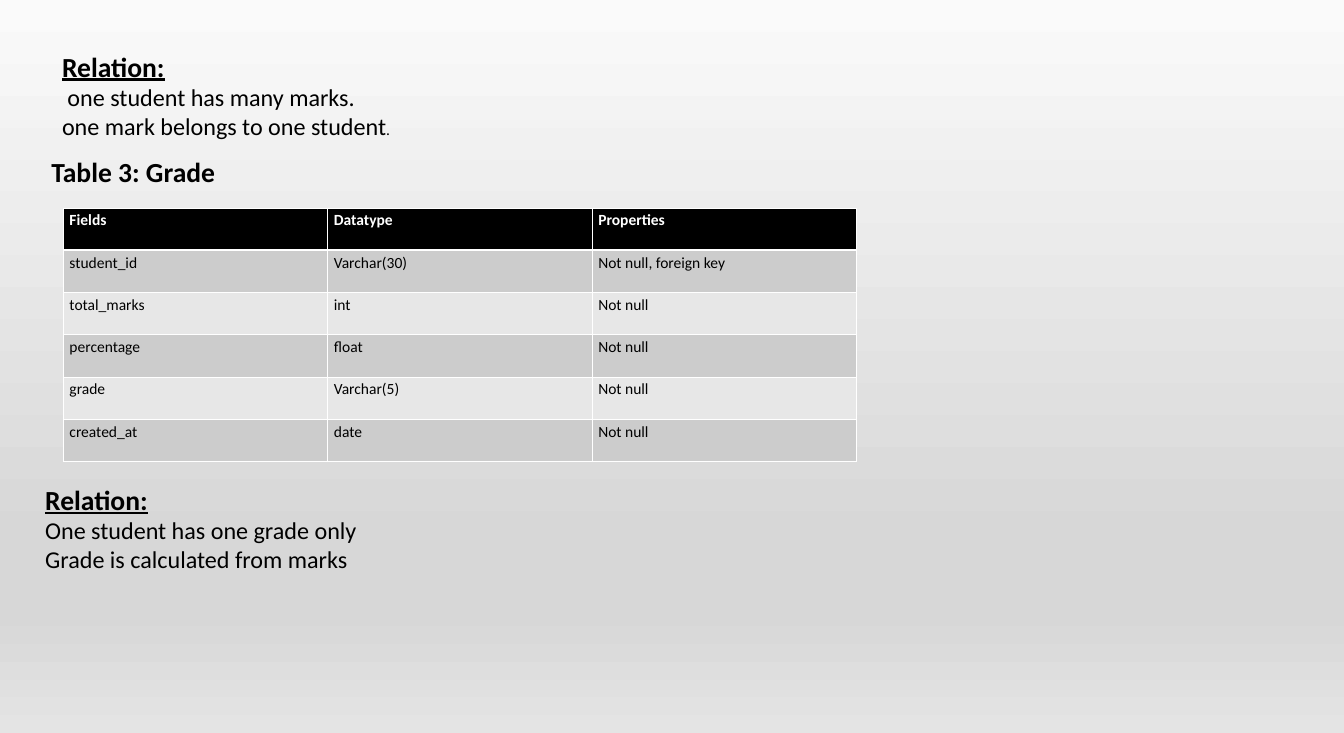
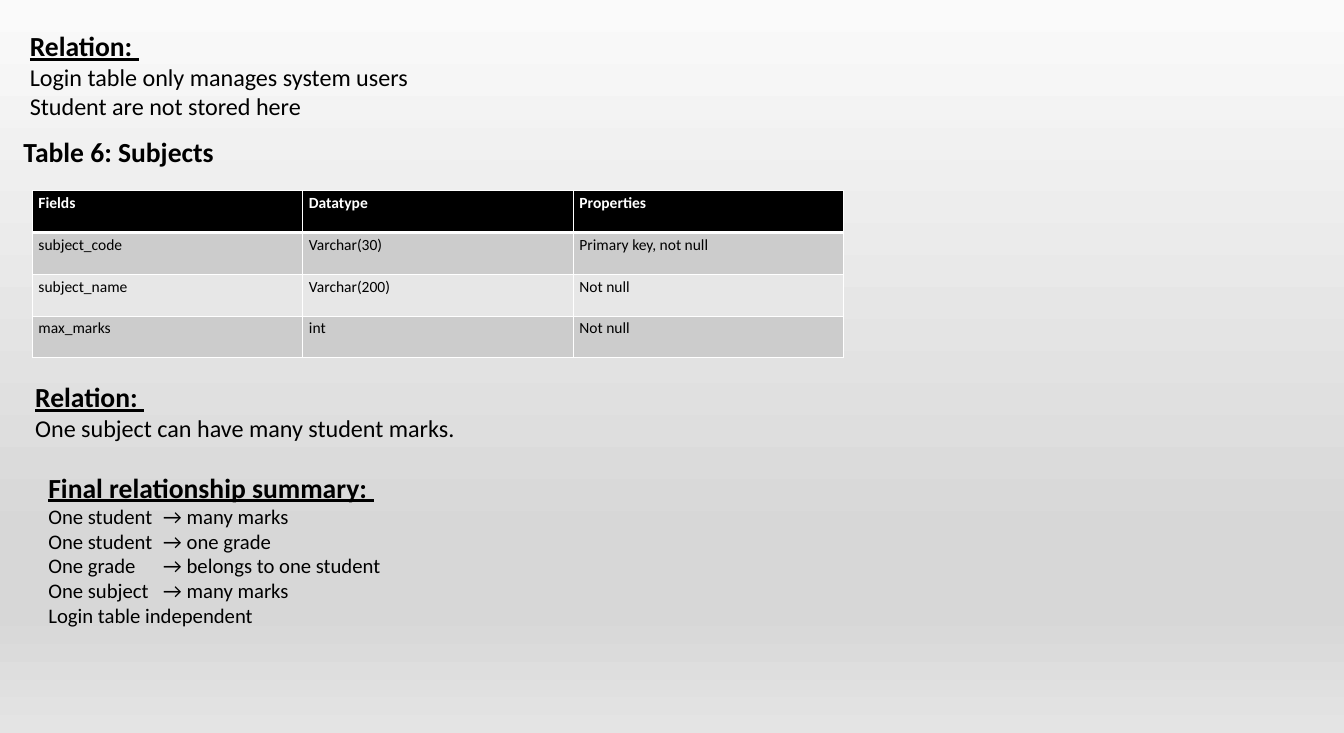
import dataclasses

import lxml.etree
import pptx
import pptx.dml.color
import pptx.enum.text
import pptx.oxml
import pptx.oxml.ns
import pptx.util

Cm = pptx.util.Cm
Pt = pptx.util.Pt
RGB = pptx.dml.color.RGBColor.from_string
qn = pptx.oxml.ns.qn


@dataclasses.dataclass(frozen=True)
class Theme:
    font: str = "Calibri"
    ink: str = "000000"
    paper: str = "FFFFFF"
    bands: tuple = ("E7E7E7", "CCCCCC")
    backdrop: tuple = ((0, "FAFAFA"), (74, "D7D7D7"), (83, "D7D7D7"), (100, "E4E4E4"))
    heading: int = 32
    body: int = 28
    summary: int = 24
    small: int = 18
    border: int = 1
    header_border: int = 3


theme = Theme()


def style(r, size, color=theme.ink, bold=False, underline=False):
    r.font.name = theme.font
    r.font.size = Pt(size)
    r.font.color.rgb = RGB(color)
    r.font.bold = bold
    r.font.underline = underline


def add_text(s, box, heading, lines=(), size=theme.body):
    """Bold heading, underlined when lines follow it."""
    tf = s.shapes.add_textbox(*map(Cm, box)).text_frame
    tf.word_wrap = True
    tf.auto_size = pptx.enum.text.MSO_AUTO_SIZE.SHAPE_TO_FIT_TEXT
    tf.text = "\n".join([heading, *lines])
    style(tf.paragraphs[0].runs[0], theme.heading, bold=True, underline=bool(lines))
    for p in tf.paragraphs[1:]:
        style(p.runs[0], size)
    return tf


prs = pptx.Presentation()
prs.slide_width, prs.slide_height = Cm(55), Cm(30)

# Shared background gradient, top to bottom
fill = prs.slide_master.background.fill
fill.gradient()
fill.gradient_angle = 270
stops = prs.slide_master.element.find(".//" + qn("p:bg")).find(".//" + qn("a:gsLst"))
for stop in list(stops):
    stops.remove(stop)
for percent, color in theme.backdrop:
    stop = lxml.etree.SubElement(stops, qn("a:gs"), pos=str(percent * 1000))
    lxml.etree.SubElement(stop, qn("a:srgbClr"), val=color)

blank = prs.slide_layouts[6]
grade_slide = prs.slides.add_slide(blank)
subject_slide = prs.slides.add_slide(blank)

# Grade slide: text
tf = add_text(grade_slide, (2.29, 1.9, 35.31, 4.01), "Relation:",
              [" one student has many marks.", "one mark belongs to one student"])
r = tf.paragraphs[-1].add_run()
r.text = "."
style(r, theme.small)
add_text(grade_slide, (1.85, 6.22, 10.67, 1.63), "Table 3: Grade")
add_text(grade_slide, (1.6, 19.63, 18.92, 4.01), "Relation:",
         ["One student has one grade only", "Grade is calculated from marks"])

# Subjects slide: text
add_text(subject_slide, (0.97, 1.07, 26.62, 4.01), "Relation: ",
         ["Login table only manages system users", "Student are not stored here"])
add_text(subject_slide, (0.71, 5.41, 16.84, 1.63), "Table 6: Subjects")
add_text(subject_slide, (1.19, 15.44, 19.69, 2.82), "Relation: ",
         ["One subject can have many student marks."])
tf = add_text(subject_slide, (1.73, 19.13, 25.27, 6.76), "Final relationship summary: ",
              ["One student\t→ many marks", "One student\t→ one grade",
               "One grade\t→ belongs to one student", "One subject\t→ many marks",
               "Login table independent"], theme.summary)

# Summary arrows line up on one tab stop
for p in tf.paragraphs[1:-1]:
    tabs = lxml.etree.SubElement(p._p.get_or_add_pPr(), qn("a:tabLst"))
    lxml.etree.SubElement(tabs, qn("a:tab"), pos=str(Cm(4.7)), algn="l")

# Field tables: slide, left, top, column width, row height, body rows
header = ("Fields", "Datatype", "Properties")
tables = [
    (grade_slide, 2.59, 8.51, 10.82, 1.73, [
        ("student_id", "Varchar(30)", "Not null, foreign key"),
        ("total_marks", "int", "Not null"),
        ("percentage", "float", "Not null"),
        ("grade", "Varchar(5)", "Not null"),
        ("created_at", "date", "Not null"),
    ]),
    (subject_slide, 1.32, 7.8, 11.07, 1.71, [
        ("subject_code", "Varchar(30)", "Primary key, not null"),
        ("subject_name", "Varchar(200)", "Not null"),
        ("max_marks", "int", "Not null"),
    ]),
]
for s, left, top, col_width, row_height, fields in tables:
    rows = [header, *fields]
    table = s.shapes.add_table(
        len(rows), len(header), Cm(left), Cm(top),
        Cm(col_width * len(header)), Cm(row_height * len(rows))).table
    for i, row in enumerate(rows):
        is_header = i == 0
        for j, text in enumerate(row):
            cell = table.cell(i, j)
            cell.text_frame.text = text
            style(cell.text_frame.paragraphs[0].runs[0], theme.small,
                  theme.paper if is_header else theme.ink, bold=is_header)
            cell.fill.solid()
            cell.fill.fore_color.rgb = RGB(theme.ink if is_header else theme.bands[i % 2])

            # White grid, heavier under the header
            tcPr = cell._tc.get_or_add_tcPr()
            for k, side in enumerate(("lnL", "lnR", "lnT", "lnB")):
                heavy = (i, side) in ((0, "lnB"), (1, "lnT"))
                width = theme.header_border if heavy else theme.border
                ln = lxml.etree.Element(qn("a:" + side), w=str(Pt(width)))
                solid = lxml.etree.SubElement(ln, qn("a:solidFill"))
                lxml.etree.SubElement(solid, qn("a:srgbClr"), val=theme.paper)
                tcPr.insert(k, ln)

prs.save("out.pptx")
